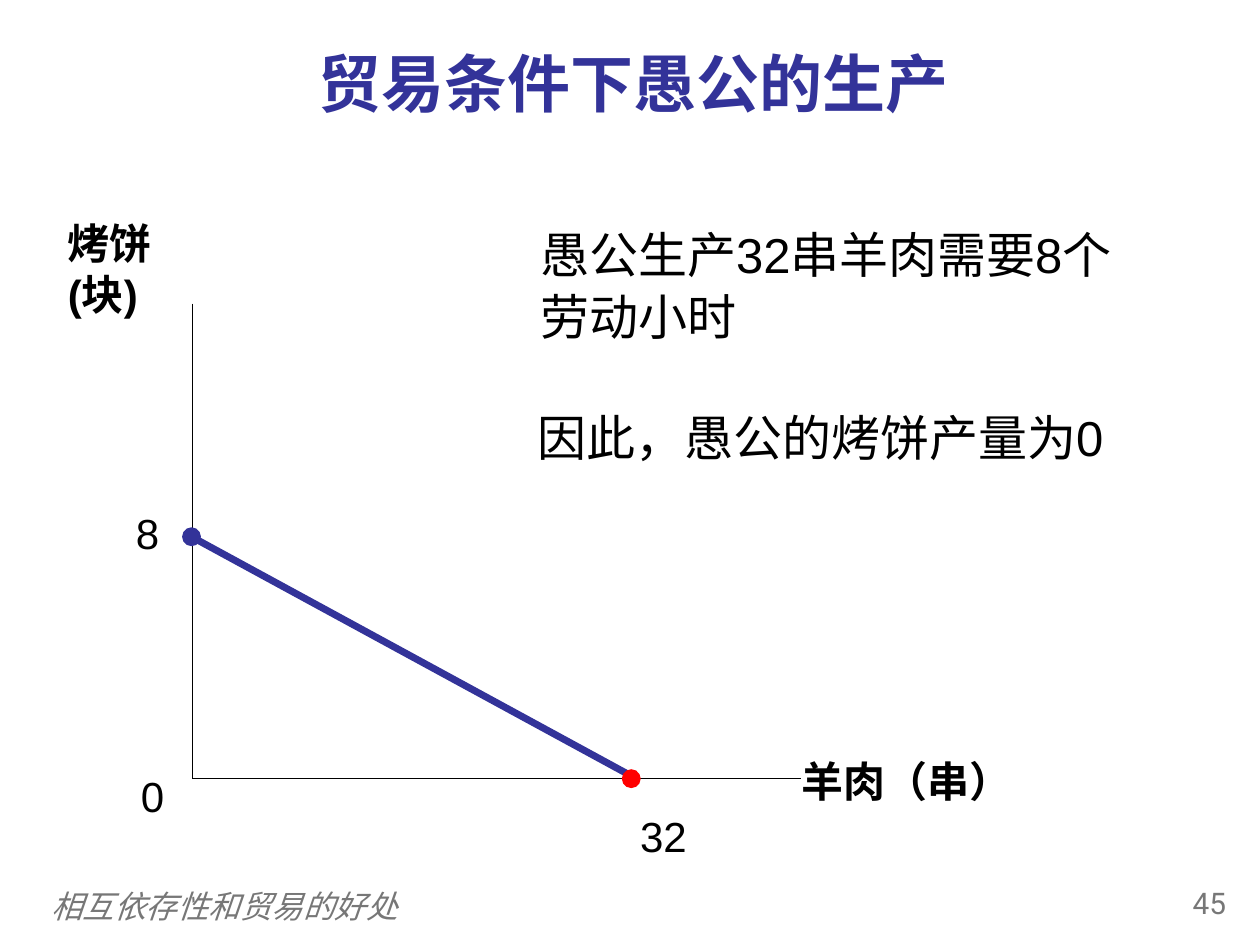
from dataclasses import dataclass

from pptx import Presentation
from pptx.dml.color import RGBColor
from pptx.enum.shapes import MSO_CONNECTOR, MSO_SHAPE
from pptx.enum.text import MSO_ANCHOR, PP_ALIGN
from pptx.oxml.ns import qn
from pptx.util import Inches, Pt


@dataclass(frozen=True)
class Theme:
    blue: str = "333399"
    red: str = "FF0000"
    black: str = "000000"
    grey: str = "777777"
    title_font: str = "TeX Gyre Pagella"
    body_font: str = "Arial"
    number_font: str = "Roboto"
    title_size: int = 36
    note_size: int = 28
    label_size: int = 24
    footer_size: int = 18
    number_size: int = 17


THEME = Theme()
LEFT, CENTER, RIGHT = PP_ALIGN.LEFT, PP_ALIGN.CENTER, PP_ALIGN.RIGHT
ORIGIN = (1.53, 6.18)
AXIS_TOP = (1.53, 2.41)
AXIS_RIGHT = (6.36, 6.18)
BREAD_POINT = (1.52, 4.26)
MEAT_POINT = (5.01, 6.18)
LINE_END = (5.05, 6.18)


def fill_text(shape, text, size, color=THEME.black, font=THEME.body_font,
              bold=False, italic=False, align=LEFT, spacing=None,
              anchor=MSO_ANCHOR.TOP):
    frame = shape.text_frame
    frame.text = text
    frame.word_wrap = True
    frame.vertical_anchor = anchor
    para = frame.paragraphs[0]
    para.alignment = align
    para.line_spacing = spacing
    style = para.runs[0].font
    style.name = font
    style.size = Pt(size)
    style.bold = bold
    style.italic = italic
    style.color.rgb = RGBColor.from_string(color)


def add_text(page, place, text, size=THEME.label_size, **style):
    box = page.shapes.add_textbox(*map(Inches, place))
    fill_text(box, text, size, **style)


def add_line(page, start, end, color=THEME.black, width=0.75):
    line = page.shapes.add_connector(
        MSO_CONNECTOR.STRAIGHT, *map(Inches, start + end))
    line.line.color.rgb = RGBColor.from_string(color)
    line.line.width = Pt(width)
    properties = line._element.spPr
    properties.append(properties.makeelement(qn("a:effectLst"), {}))


def add_dot(page, center, color, size=0.15):
    x, y = center
    dot = page.shapes.add_shape(
        MSO_SHAPE.OVAL, Inches(x - size / 2), Inches(y - size / 2),
        Inches(size), Inches(size))
    dot.shadow.inherit = False
    dot.fill.solid()
    dot.fill.fore_color.rgb = RGBColor.from_string(color)
    dot.line.fill.background()


def add_title(page, text):
    title = page.shapes.title
    title.left, title.top, title.width, title.height = map(
        Inches, (0.43, 0.28, 9.2, 0.74))
    fill_text(title, text, THEME.title_size, color=THEME.blue,
              font=THEME.title_font, bold=True, align=CENTER,
              anchor=MSO_ANCHOR.MIDDLE)


def add_footer(page):
    add_text(page, (0.31, 6.99, 8.02, 0.4), "相互依存性和贸易的好处",
             THEME.footer_size, color=THEME.grey, italic=True,
             anchor=MSO_ANCHOR.MIDDLE)
    add_text(page, (9.08, 6.97, 0.75, 0.4), "45", THEME.number_size,
             color=THEME.grey, font=THEME.number_font, align=RIGHT)


def add_notes_beside_graph(page):
    note = {"size": THEME.note_size, "spacing": 1.05}
    add_text(page, (4.19, 1.71, 5.01, 1.09),
             "愚公生产32串羊肉需要8个劳动小时", **note)
    add_text(page, (4.17, 3.16, 5.01, 0.6), "因此，愚公的烤饼产量为0", **note)


def add_frontier(page):
    """Draw the axes, their labels and the production possibilities line."""
    add_text(page, (6.26, 5.95, 2.1, 0.5), "羊肉（串）", bold=True)
    add_text(page, (0.44, 1.68, 1.22, 0.91), "烤饼(块)", bold=True)
    add_line(page, AXIS_TOP, ORIGIN)
    add_line(page, ORIGIN, AXIS_RIGHT)
    add_text(page, (0.98, 3.98, 0.39, 0.5), "8")
    add_text(page, (4.62, 6.38, 1.29, 0.5), "32", align=CENTER)
    add_text(page, (0.84, 6.07, 0.74, 0.5), "0", align=CENTER)
    add_line(page, BREAD_POINT, LINE_END, THEME.blue, 4)
    add_dot(page, BREAD_POINT, THEME.blue)
    add_dot(page, MEAT_POINT, THEME.red)


def main():
    deck = Presentation()
    deck.slide_width, deck.slide_height = Inches(10), Inches(7.5)
    page = deck.slides.add_slide(deck.slide_layouts.get_by_name("Title Only"))
    add_footer(page)
    add_title(page, "贸易条件下愚公的生产")
    add_frontier(page)
    add_notes_beside_graph(page)
    deck.save("out.pptx")


if __name__ == "__main__":
    main()
